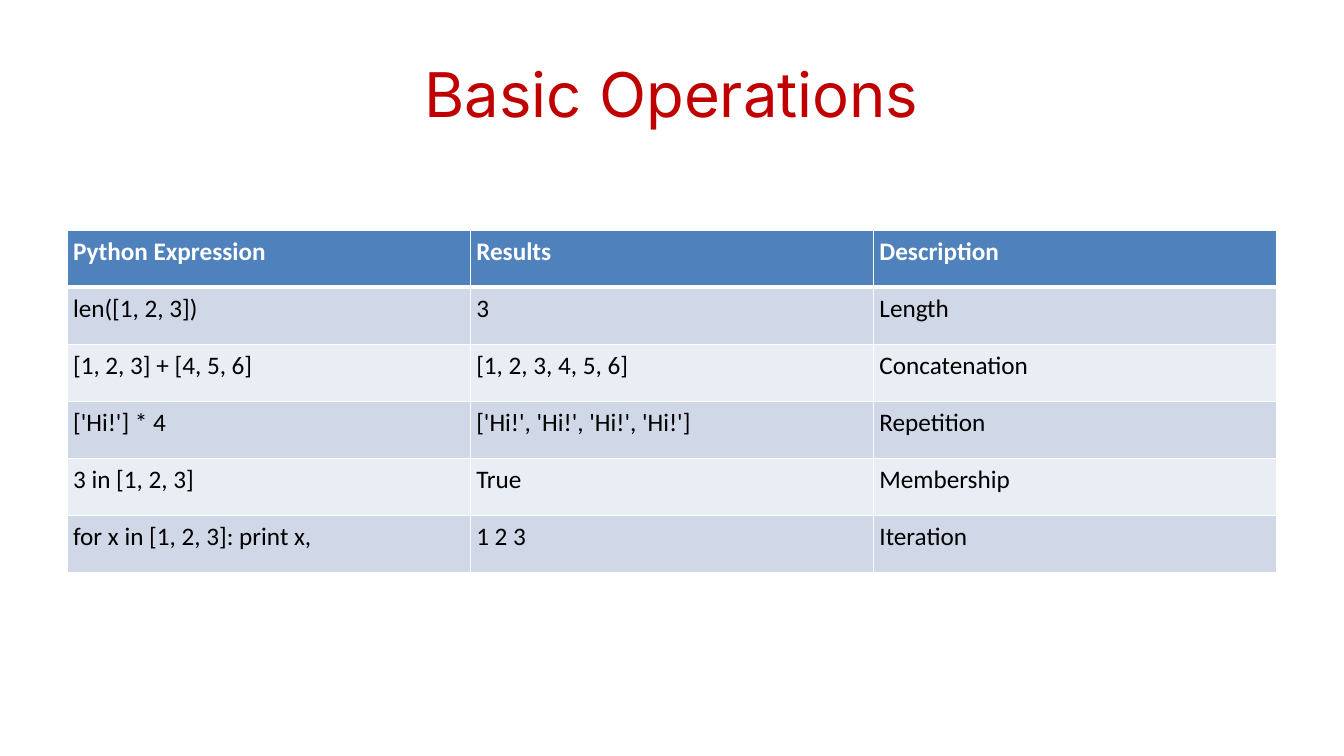
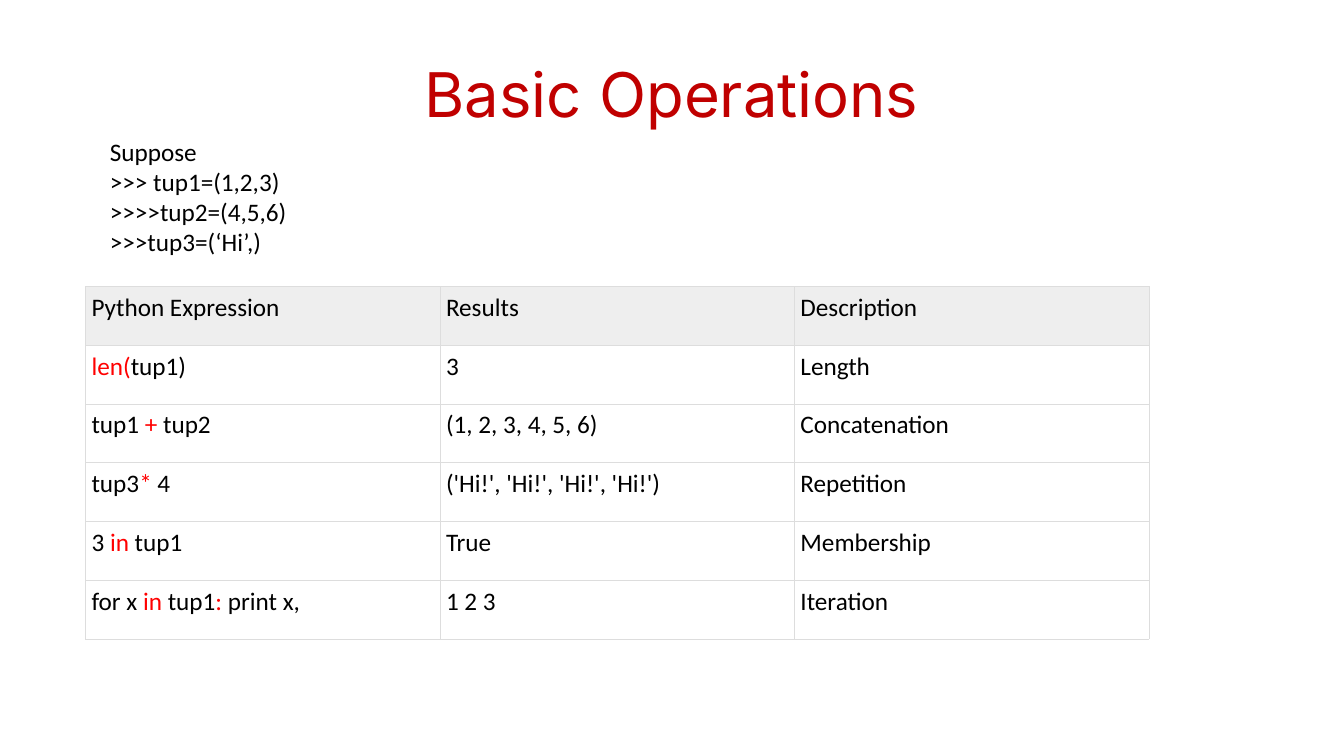
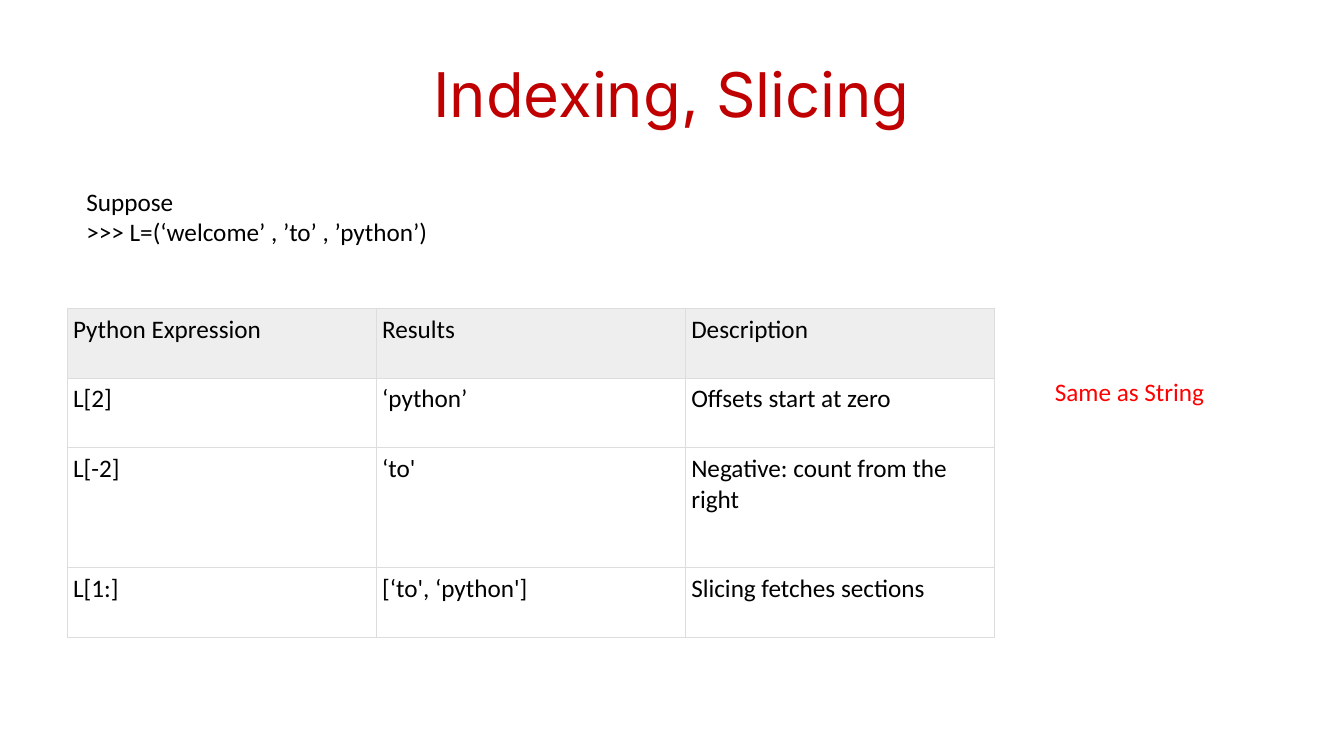
from dataclasses import dataclass

from lxml import etree
from pptx import Presentation
from pptx.dml.color import RGBColor
from pptx.enum.text import MSO_ANCHOR, PP_ALIGN
from pptx.oxml.ns import qn
from pptx.slide import Slide
from pptx.table import _Cell
from pptx.util import Emu, Pt

CENTER = PP_ALIGN.CENTER
LEFT = PP_ALIGN.LEFT
MIDDLE = MSO_ANCHOR.MIDDLE
TOP = MSO_ANCHOR.TOP

WHITE = RGBColor(0xFF, 0xFF, 0xFF)
BLACK = RGBColor(0x00, 0x00, 0x00)
RED = RGBColor(0xFF, 0x00, 0x00)
CRIMSON = RGBColor(0xC0, 0x00, 0x00)
BLUE = RGBColor(0x4F, 0x81, 0xBD)
MIST = RGBColor(0xD0, 0xD8, 0xE8)
PALE = RGBColor(0xE9, 0xED, 0xF4)
SILVER = RGBColor(0xEE, 0xEE, 0xEE)
GRAY = RGBColor(0xDD, 0xDD, 0xDD)

SCALE = 7620
INSET = 7
HEADS = ("Python Expression", "Results", "Description")
NAMES = ("Length", "Concatenation", "Repetition", "Membership", "Iteration")


def px(count: int) -> Emu:
    return Emu(count * SCALE)


TITLE = {"name": "Inter", "size": Pt(44)}
BODY = {"name": "Calibri", "size": Pt(18)}
CELL = {
    "margin_left": px(INSET),
    "margin_right": px(INSET),
    "margin_top": px(INSET),
    "margin_bottom": px(INSET),
}


@dataclass(frozen=True)
class Look:
    head: RGBColor
    ink: RGBColor
    bold: bool
    fills: tuple[RGBColor, ...]
    line: RGBColor
    width: float
    rule: float


@dataclass(frozen=True)
class Grid:
    left: int
    top: int
    column: int
    heights: tuple[int, ...]
    look: Look
    rows: tuple[tuple[str, ...], ...]


@dataclass(frozen=True)
class Note:
    left: int
    top: int
    width: int
    height: int
    lines: tuple[str, ...]


@dataclass(frozen=True)
class Page:
    title: str
    grid: Grid
    notes: tuple[Note, ...] = ()


BANDED = Look(BLUE, WHITE, True, (MIST, PALE), WHITE, 1, 3)
PLAIN = Look(SILVER, BLACK, False, (WHITE,), GRAY, 0.5, 0.5)


def label(left: tuple[str, ...], right: tuple[str, ...]) -> tuple[tuple[str, ...], ...]:
    return tuple(zip(left, right, NAMES))


PAGES = (
    Page(
        "Basic Operations",
        Grid(80, 274, 480, (68,) * 6, BANDED, label(
            ("len([1, 2, 3])", "[1, 2, 3] + [4, 5, 6]", "['Hi!'] * 4",
             "3 in [1, 2, 3]", "for x in [1, 2, 3]: print x,"),
            ("3", "[1, 2, 3, 4, 5, 6]", "['Hi!', 'Hi!', 'Hi!', 'Hi!']", "True", "1 2 3"),
        )),
    ),
    Page(
        "Basic Operations",
        Grid(102, 341, 422, (70,) * 6, PLAIN, label(
            ("|len(|tup1)", "tup1 |+| tup2", "tup3|*| 4",
             "3 |in| tup1", "for x |in| tup1|:| print x,"),
            ("3", "(1, 2, 3, 4, 5, 6)", "('Hi!', 'Hi!', 'Hi!', 'Hi!')", "True", "1 2 3"),
        )),
        (Note(119, 156, 785, 158, (
            "Suppose", ">>> tup1=(1,2,3)", ">>>>tup2=(4,5,6)", ">>>tup3=(‘Hi’,)",
        )),),
    ),
    Page(
        "Indexing, Slicing",
        Grid(80, 367, 368, (83, 83, 143, 83), PLAIN, (
            ("L[2]", "‘python’", "Offsets start at zero"),
            ("L[-2]", "‘to'", "Negative: count from the right"),
            ("L[1:]", "[‘to', ‘python']", "Slicing fetches sections"),
        )),
        (
            Note(91, 216, 785, 85, ("Suppose", ">>> L=(‘welcome’ , ’to’ , ’python’)")),
            Note(1244, 442, 296, 48, ("|Same as String|",)),
        ),
    ),
)


def write(frame, lines: tuple[str, ...], style: dict, ink: RGBColor,
          bold: bool = False, align: PP_ALIGN = LEFT) -> None:
    frame.word_wrap = True
    for row, line in enumerate(lines):
        para = frame.paragraphs[0] if row == 0 else frame.add_paragraph()
        para.alignment = align
        for part, text in enumerate(line.split("|")):
            if not text:
                continue
            run = para.add_run()
            run.text = text
            for key, value in {**style, "bold": bold}.items():
                setattr(run.font, key, value)
            run.font.color.rgb = RED if part % 2 else ink


def add_text(slide: Slide, note: Note, style: dict, ink: RGBColor,
             align: PP_ALIGN = LEFT, anchor: MSO_ANCHOR = TOP) -> None:
    box = slide.shapes.add_textbox(
        px(note.left), px(note.top), px(note.width), px(note.height))
    box.text_frame.vertical_anchor = anchor
    write(box.text_frame, note.lines, style, ink, align=align)


def edge(cell: _Cell, color: RGBColor, widths: dict[str, float]) -> None:
    props = cell._tc.get_or_add_tcPr()
    for side, width in widths.items():
        line = etree.SubElement(props, qn(f"a:{side}"), w=str(Pt(width)))
        fill = etree.SubElement(line, qn("a:solidFill"))
        etree.SubElement(fill, qn("a:srgbClr"), val=str(color))


def add_grid(slide: Slide, grid: Grid) -> None:
    look = grid.look
    rows = (HEADS, *grid.rows)
    table = slide.shapes.add_table(
        len(rows), len(HEADS), px(grid.left), px(grid.top),
        px(grid.column * len(HEADS)), px(sum(grid.heights))).table
    table.first_row = False
    table.horz_banding = False
    for column in table.columns:
        column.width = px(grid.column)
    for row, (texts, height) in enumerate(zip(rows, grid.heights)):
        table.rows[row].height = px(height)
        head = row == 0
        fill = look.head if head else look.fills[(row - 1) % len(look.fills)]
        widths = {
            "lnL": look.width,
            "lnR": look.width,
            "lnT": look.rule if row == 1 else look.width,
            "lnB": look.rule if head else look.width,
        }
        for col, text in enumerate(texts):
            cell = table.cell(row, col)
            for key, value in CELL.items():
                setattr(cell, key, value)
            edge(cell, look.line, widths)
            cell.fill.solid()
            cell.fill.fore_color.rgb = fill
            write(cell.text_frame, (text,), BODY,
                  look.ink if head else BLACK, head and look.bold)


def main() -> None:
    deck = Presentation()
    deck.slide_width = px(1600)
    deck.slide_height = px(900)
    for page in PAGES:
        slide = deck.slides.add_slide(deck.slide_layouts[6])
        title = Note(80, 36, 1440, 150, (page.title,))
        add_text(slide, title, TITLE, CRIMSON, CENTER, MIDDLE)
        add_grid(slide, page.grid)
        for note in page.notes:
            add_text(slide, note, BODY, BLACK)
    deck.save("out.pptx")


if __name__ == "__main__":
    main()
